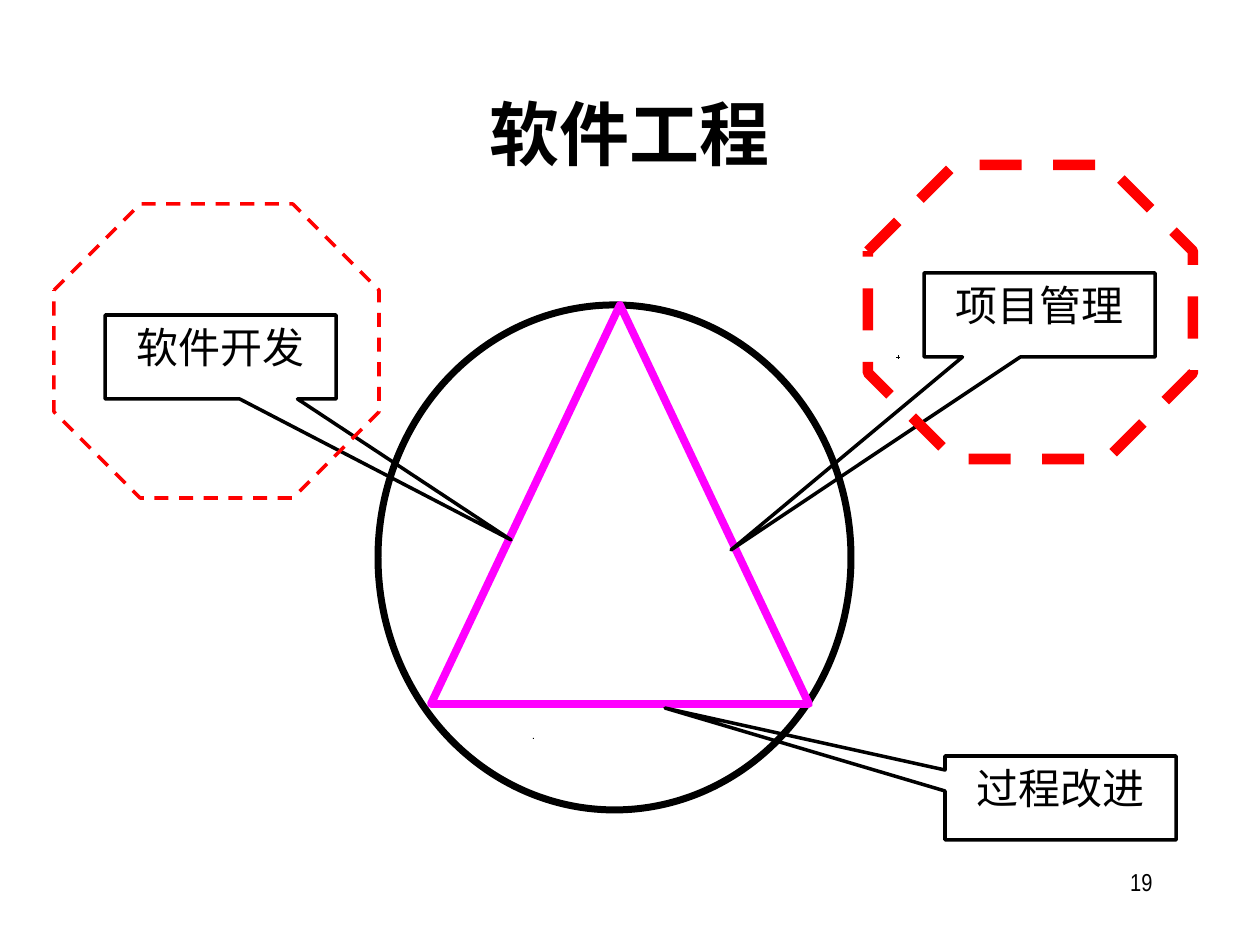
"""Build the software engineering triangle slide."""
from pptx import Presentation, util as u
from pptx.dml.color import RGBColor
from pptx.enum import dml, shapes, text
from pptx.oxml.ns import qn
from lxml import etree

PX = u.Inches(1) / 126
COLORS = {"ink": "000000", "side": "FF00FF", "focus": "FF0000"}
LATIN, CJK = "Arial Narrow", "Noto Sans CJK SC"
SHAPE = shapes.MSO_SHAPE
CALLOUT_SIZE = (231, 84)
OCTAGON_SIZE = (325, 294)


def emu(*lengths):
    return [round(n * PX) for n in lengths]


def rgb(name):
    return RGBColor.from_string(COLORS[name])


def write(sp, words, size, font=LATIN, bold=False, align=text.PP_ALIGN.CENTER):
    tf = sp.text_frame
    tf.word_wrap = True
    tf.vertical_anchor = text.MSO_ANCHOR.TOP
    p = tf.paragraphs[0]
    p.alignment = align
    r = p.add_run()
    r.text = words
    r.font.name, r.font.size, r.font.bold = font, u.Pt(size), bold
    r.font.color.rgb = rgb("ink")
    etree.SubElement(r.font._element, qn("a:ea"), typeface=CJK)


def add_text(s, box, words, size, **fmt):
    write(s.shapes.add_textbox(*emu(*box)), words, size, **fmt)


def add_outline(s, kind, box, color, width, adj=(), dash=None):
    sp = s.shapes.add_shape(kind, *emu(*box))
    sp.shadow.inherit = False
    sp.fill.background()
    sp.line.color.rgb = rgb(color)
    sp.line.width = u.Pt(width)
    if dash:
        sp.line.dash_style = dash
    for i, value in enumerate(adj):
        sp.adjustments[i] = value
    return sp


def add_callout(s, left, top, words, tip):
    w, h = CALLOUT_SIZE
    adj = ((tip[0] - left) / w - 0.5, (tip[1] - top) / h - 0.5)
    sp = add_outline(s, SHAPE.RECTANGULAR_CALLOUT, (left, top, w, h), "ink", 2, adj)
    write(sp, words, 24)


def add_octagon(s, left, top, width):
    add_outline(s, SHAPE.OCTAGON, (left, top, *OCTAGON_SIZE), "focus", width,
                (0.293,), dml.MSO_LINE.DASH)


def add_hairline(s, *ends):
    c = s.shapes.add_connector(shapes.MSO_CONNECTOR.STRAIGHT, *emu(*ends))
    c.line.color.rgb = rgb("ink")
    c.line.width = 0
    etree.SubElement(c._element.spPr, qn("a:effectLst"))


def add_dot(s, left, top):
    sp = s.shapes.add_shape(SHAPE.RECTANGLE, *emu(left, top, 1, 1))
    sp.shadow.inherit = False
    sp.fill.solid()
    sp.fill.fore_color.rgb = rgb("ink")
    sp.line.fill.background()


def main():
    prs = Presentation()
    prs.slide_width, prs.slide_height = emu(1260, 945)
    s = prs.slides.add_slide(prs.slide_layouts[6])
    add_text(s, (903, 861, 262, 63), "19", 14, align=text.PP_ALIGN.RIGHT)
    add_text(s, (94, 84, 1071, 158), "软件工程", 40, font=CJK, bold=True)
    add_hairline(s, 898, 357, 899, 357)
    add_hairline(s, 898, 357, 898, 358)
    add_dot(s, 533, 738)
    add_outline(s, SHAPE.OVAL, (378, 305, 473, 505), "ink", 4)
    add_outline(s, SHAPE.ISOSCELES_TRIANGLE, (431, 305, 378, 399), "side", 4.5)
    add_callout(s, 105, 315, "软件开发", (511, 540))
    add_callout(s, 924, 273, "项目管理", (731, 550))
    add_callout(s, 945, 756, "过程改进", (665, 708))
    add_octagon(s, 54, 204, 2)
    add_octagon(s, 868, 165, 6)
    prs.save("out.pptx")


if __name__ == "__main__":
    main()
